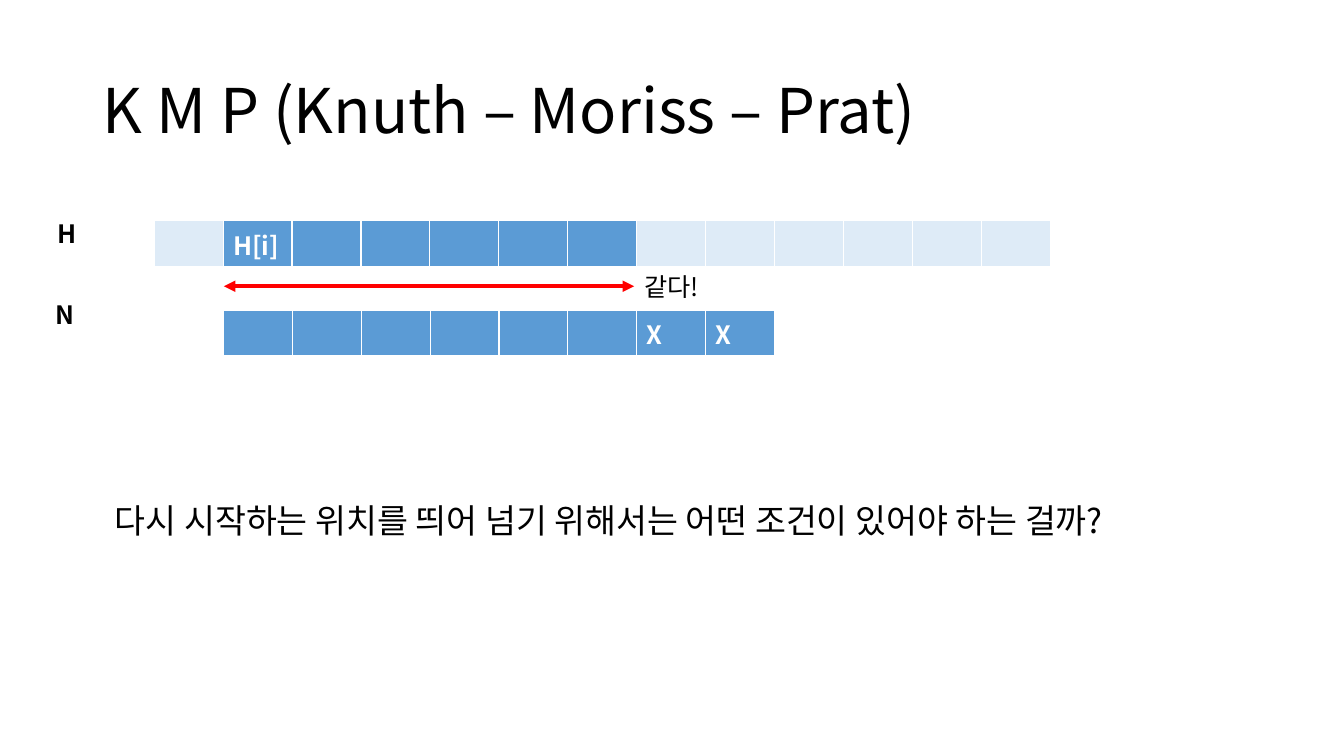
import pptx
import pptx.util
import pptx.dml.color
import pptx.enum.shapes
import pptx.enum.text
import pptx.oxml
import pptx.oxml.ns

Inches, Pt = pptx.util.Inches, pptx.util.Pt
FONT = "Noto Sans CJK KR"
HUES = {"ink": "000000", "white": "FFFFFF", "blue": "5B9BD5", "pale": "DEEBF7", "red": "FF0000"}

TITLE = "K M P (Knuth – Moriss – Prat)"
ROWS = [
    {"left": 1.53, "top": 2.19, "width": 8.89, "count": 13, "dark": range(1, 7), "words": {1: "H[i]"}},
    {"left": 2.22, "top": 3.08, "width": 5.46, "count": 8, "dark": range(8), "words": {6: "X", 7: "X"}},
]
LABELS = [
    ("H", (0.47, 2.12, 0.53, 0.4), {"bold": True}),
    ("N", (0.45, 2.92, 0.53, 0.4), {"bold": True}),
    ("같다!", (6.29, 2.64, 0.82, 0.4), {}),
    ("다시 시작하는 위치를 띄어 넘기 위해서는 어떤 조건이 있어야 하는 걸까?", (1.04, 4.91, 11.31, 0.5), {"size": 24}),
]
ARROW = (2.22, 2.84, 6.29, 2.84)
EDGES = {"L": 1, "R": 1, "T": 1, "B": 3}


def rgb(name):
    return pptx.dml.color.RGBColor.from_string(HUES[name])


def add(parent, tag, **attrs):
    node = pptx.oxml.parse_xml(f"<a:{tag} {pptx.oxml.ns.nsdecls('a')}/>")
    for key, value in attrs.items():
        node.set(key, str(value))
    parent.append(node)
    return node


def write(frame, text, size=18, bold=False, color="ink", space=None):
    para = frame.paragraphs[0]
    para.line_spacing = space
    run = para.add_run()
    run.text = text
    run.font.size, run.font.bold, run.font.name = Pt(size), bold, FONT
    run.font.color.rgb = rgb(color)
    add(run.font._element, "ea", typeface=FONT)


def draw(slide, row):
    place = [Inches(row[key]) for key in ("left", "top", "width")]
    table = slide.shapes.add_table(1, row["count"], *place, Inches(0.41)).table
    for col in table.columns:
        col.width = Inches(row["width"] / row["count"])
    for i, cell in enumerate(table.rows[0].cells):
        props = cell._tc.get_or_add_tcPr()
        for side, width in EDGES.items():
            edge = add(props, f"ln{side}", w=Pt(width))
            add(add(edge, "solidFill"), "srgbClr", val=HUES["white"])
        cell.fill.solid()
        cell.fill.fore_color.rgb = rgb("blue" if i in row["dark"] else "pale")
        if i in row["words"]:
            write(cell.text_frame, row["words"][i], bold=True, color="white")


deck = pptx.Presentation()
deck.slide_width, deck.slide_height = Inches(13.33), Inches(7.5)
slide = deck.slides.add_slide(deck.slide_layouts[5])

title = slide.shapes.title
title.left, title.top, title.width, title.height = map(Inches, (0.92, 0.4, 11.5, 1.45))
title.text_frame.vertical_anchor = pptx.enum.text.MSO_ANCHOR.MIDDLE
write(title.text_frame, TITLE, size=44, space=0.9)
title.text_frame.paragraphs[0].alignment = pptx.enum.text.PP_ALIGN.LEFT

for row in ROWS:
    draw(slide, row)

for text, place, style in LABELS:
    frame = slide.shapes.add_textbox(*map(Inches, place)).text_frame
    frame.word_wrap = True
    write(frame, text, **style)

arrow = slide.shapes.add_connector(pptx.enum.shapes.MSO_CONNECTOR.STRAIGHT, *map(Inches, ARROW))
arrow.line.color.rgb = rgb("red")
arrow.line.width = Pt(2.75)
line = arrow.line._get_or_add_ln()
for end in ("headEnd", "tailEnd"):
    add(line, end, type="triangle")
add(arrow._element.spPr, "effectLst")

deck.save("out.pptx")
